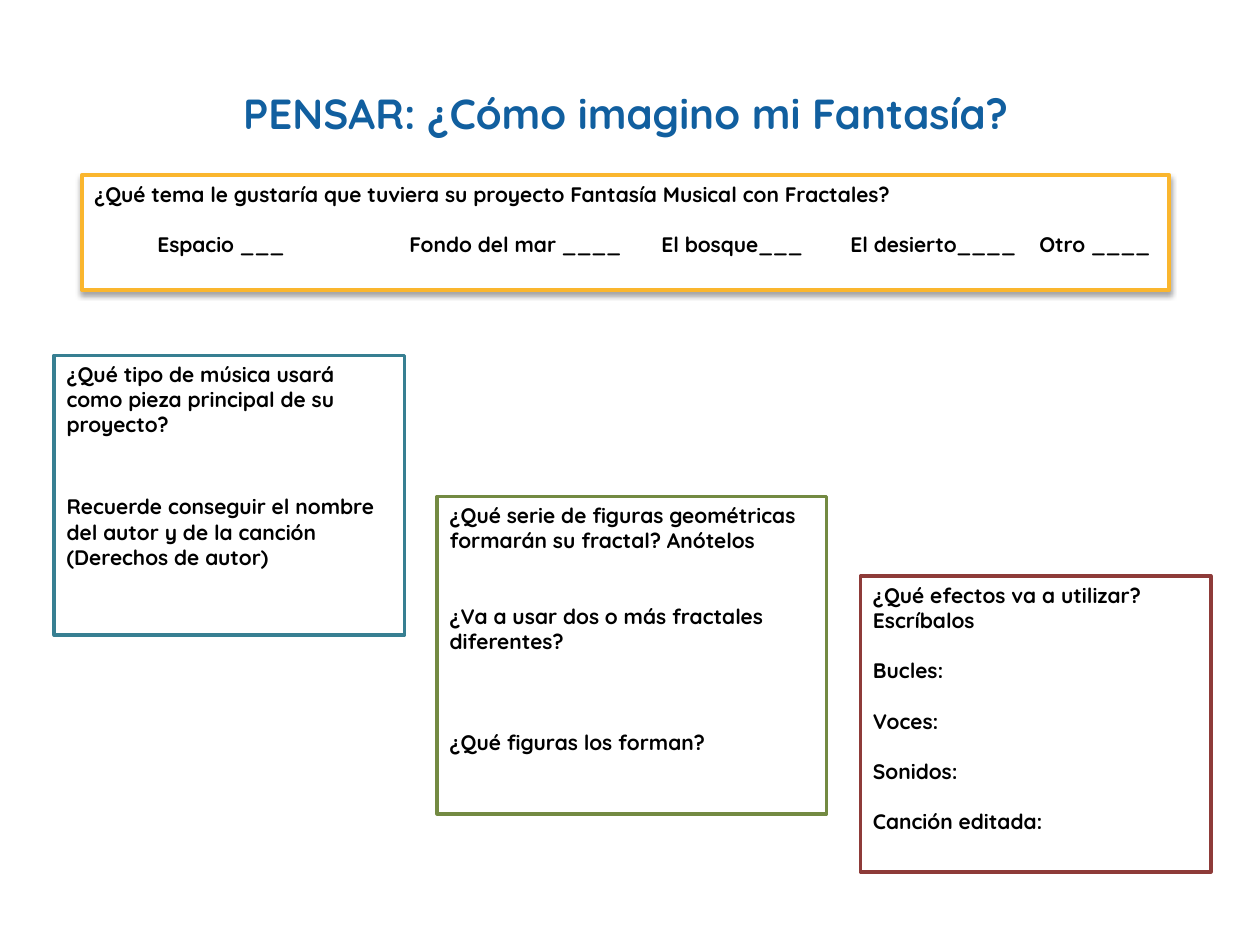
from pptx import Presentation
from pptx.dml.color import RGBColor
from pptx.enum.shapes import MSO_SHAPE
from pptx.enum.text import MSO_ANCHOR, PP_ALIGN
from pptx.oxml import parse_xml
from pptx.oxml.ns import nsdecls
from pptx.util import Inches, Pt

FONT = "Quicksand"
COLORS = {
    "title": "115F9F", "text": "000000", "paper": "FFFFFF",
    "theme": "FAB62E", "music": "377F92", "shapes": "738A42", "effects": "8E3B39",
}
LINE_GAP = 14.4
TOPIC_TABS = (0.5, 2.5, 4.5, 6, 7.5)


def color(name):
    return RGBColor.from_string(COLORS[name])


def style_font(p, size, name):
    p.font.name = FONT
    p.font.size = Pt(size)
    p.font.bold = True
    p.font.color.rgb = color(name)


def place_title(slide, box, text):
    s = slide.shapes.title
    s.left, s.top, s.width, s.height = map(Inches, box)
    tf = s.text_frame
    tf.text = text
    tf.vertical_anchor = MSO_ANCHOR.MIDDLE
    p = tf.paragraphs[0]
    p.alignment = PP_ALIGN.CENTER
    style_font(p, 24, "title")


def add_question_box(slide, box, border, width, items):
    s = slide.shapes.add_shape(MSO_SHAPE.RECTANGLE, *map(Inches, box))
    s.shadow.inherit = False
    s.fill.solid()
    s.fill.fore_color.rgb = color("paper")
    s.line.color.rgb = color(border)
    s.line.width = Pt(width)
    tf = s.text_frame
    tf.word_wrap = True
    tf.vertical_anchor = MSO_ANCHOR.TOP
    for i, (text, gap) in enumerate(items):
        p = tf.paragraphs[0] if i == 0 else tf.add_paragraph()
        p.text = text
        p.alignment = PP_ALIGN.LEFT
        p.space_before = Pt(gap)
        style_font(p, 12, "text")
    return s


def add_topic_box(slide, box, question, topics):
    line = "".join("\t" + topic for topic in topics)
    s = add_question_box(slide, box, "theme", 2.25, [(question, 0), (line, LINE_GAP)])
    stops = "".join(f'<a:tab pos="{Inches(x)}" algn="l"/>' for x in TOPIC_TABS)
    pPr = s.text_frame.paragraphs[1]._p.get_or_add_pPr()
    tabs = parse_xml(f'<a:tabLst {nsdecls("a")}>{stops}</a:tabLst>')
    pPr.find("{*}defRPr").addprevious(tabs)
    s._element.spPr.find("{*}effectLst").append(parse_xml(
        f'<a:outerShdw {nsdecls("a")} blurRad="{Pt(3.1)}" dist="{Pt(1.8)}" '
        'dir="5400000" rotWithShape="0"><a:srgbClr val="000000">'
        '<a:alpha val="35000"/></a:srgbClr></a:outerShdw>'))


prs = Presentation()
prs.slide_width, prs.slide_height = Inches(10), Inches(7.5)
slide = prs.slides.add_slide(prs.slide_layouts[5])

place_title(slide, (0.65, 0.61, 8.63, 0.57), "PENSAR: ¿Cómo imagino mi Fantasía?")
add_topic_box(
    slide, (0.65, 1.39, 8.63, 0.91),
    "¿Qué tema le gustaría que\u00a0tuviera su proyecto Fantasía Musical con Fractales?",
    ["Espacio ___", "Fondo del mar ____", "El bosque___", "El desierto____", "Otro ____"])

QUESTION_BOXES = [
    ((0.43, 2.82, 2.78, 2.22), "music", [
        ("¿Qué tipo de música usará como pieza principal de su proyecto?", 0),
        ("Recuerde conseguir el nombre del autor y de la canción (Derechos de autor)",
         2.25 * LINE_GAP)]),
    ((3.47, 3.94, 3.09, 2.52), "shapes", [
        ("¿Qué serie de figuras geométricas formarán su fractal? Anótelos", 0),
        ("¿Va a usar dos o más fractales diferentes?", 2 * LINE_GAP),
        ("¿Qué figuras los forman?", 3 * LINE_GAP)]),
    ((6.83, 4.57, 2.78, 2.35), "effects", [
        ("¿Qué efectos va a utilizar? Escríbalos", 0),
        *((label, LINE_GAP) for label in
          ("Bucles:", "Voces:", "Sonidos:", "Canción editada:"))]),
]
for box, border, items in QUESTION_BOXES:
    add_question_box(slide, box, border, 2, items)

prs.save("out.pptx")
